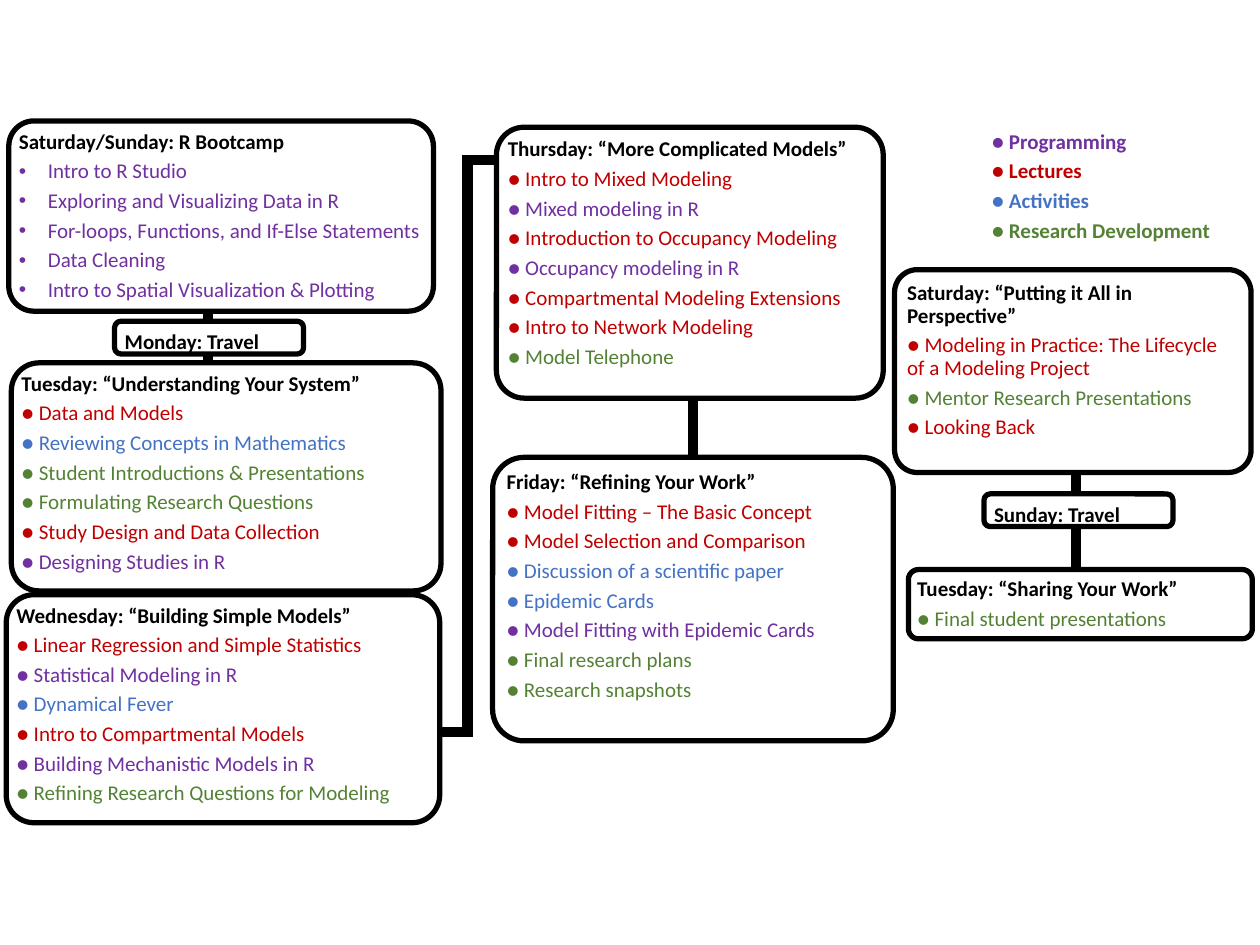
from lxml import etree
from pptx import Presentation
from pptx import util as u
from pptx.dml.color import RGBColor
from pptx.enum import shapes, text
from pptx.oxml.ns import qn

COLORS = {
    "black": "000000",
    "white": "FFFFFF",
    "programming": "7030A0",
    "lecture": "C00000",
    "activity": "4472C4",
    "research": "548235",
}

deck = Presentation()
deck.slide_width, deck.slide_height = u.Inches(10), u.Inches(7.5)
slide = deck.slides.add_slide(deck.slide_layouts[6])

# The grid has 10 columns and 7.5 rows
COL = deck.slide_width / 10
ROW = deck.slide_height / 7.5
CORNER_INSET = 0.29  # share of the corner radius that a rounded box adds to its insets


def write(frame, line, first=False, color="black", bold=False, bullet=False):
    paragraph = frame.paragraphs[0] if first else frame.add_paragraph()
    paragraph.line_spacing = 0.9
    paragraph.space_after = u.Pt(4)
    if bullet:
        props = paragraph._p.get_or_add_pPr()
        props.set("marL", str(u.Inches(0.23)))
        props.set("indent", str(-u.Inches(0.23)))
        etree.SubElement(props, qn("a:buFont")).set("typeface", "Arial")
        etree.SubElement(props, qn("a:buChar")).set("char", "•")
    run = paragraph.add_run()
    run.text = line
    run.font.name = "Calibri"
    run.font.size = u.Pt(12)
    run.font.bold = bold
    run.font.color.rgb = RGBColor.from_string(COLORS[color])


def set_frame(frame, inset):
    frame.word_wrap = True
    frame.vertical_anchor = text.MSO_ANCHOR.TOP
    frame.margin_left = frame.margin_right = int(inset * COL)
    frame.margin_top = frame.margin_bottom = int(inset * ROW)


# Links between the days: start column, start row, end column, end row
links = [
    (1.65, 2.2, 1.65, 3.28),   # bootcamp, Monday, Tuesday
    (1.68, 4.05, 1.68, 5.8),   # Tuesday to Wednesday
    (2.15, 5.81, 3.75, 5.81),  # Wednesday, up and over to Thursday
    (3.71, 5.81, 3.71, 1.27),
    (3.67, 1.27, 4.23, 1.27),
    (5.5, 2.55, 5.5, 4.56),    # Thursday to Friday
    (8.54, 3.6, 8.54, 4.6),    # Saturday, Sunday, last Tuesday
]
for x1, y1, x2, y2 in links:
    link = slide.shapes.add_connector(
        shapes.MSO_CONNECTOR.STRAIGHT,
        int(x1 * COL), int(y1 * ROW), int(x2 * COL), int(y2 * ROW))
    link.line.width = u.Pt(6)
    link.line.color.rgb = RGBColor.from_string(COLORS["black"])
    etree.SubElement(link._element.spPr, qn("a:effectLst"))

# Days: place (column, row, width, height), corner radius, inset, heading, topics
days = [
    ((0.09, 2.88, 3.41, 1.81), 0.22, 0.08, "Tuesday: “Understanding Your System”", [
        ("lecture", "Data and Models"),
        ("activity", "Reviewing Concepts in Mathematics"),
        ("research", "Student Introductions & Presentations"),
        ("research", "Formulating Research Questions"),
        ("lecture", "Study Design and Data Collection"),
        ("programming", "Designing Studies in R")]),
    ((3.91, 3.63, 3.18, 2.25), 0.25, 0.11, "Friday: “Refining Your Work”", [
        ("lecture", "Model Fitting – The Basic Concept"),
        ("lecture", "Model Selection and Comparison"),
        ("activity", "Discussion of a scientific paper"),
        ("activity", "Epidemic Cards"),
        ("programming", "Model Fitting with Epidemic Cards"),
        ("research", "Final research plans"),
        ("research", "Research snapshots")]),
    ((7.1, 2.14, 2.83, 1.61), 0.18, 0.1, "Saturday: “Putting it All in Perspective”", [
        ("lecture", "Modeling in Practice: The Lifecycle of a Modeling Project"),
        ("research", "Mentor Research Presentations"),
        ("lecture", "Looking Back")]),
    ((7.21, 4.52, 2.73, 0.55), 0.08, 0.07, "Tuesday: “Sharing Your Work”", [
        ("research", "Final student presentations")]),
    ((0.07, 0.96, 3.37, 1.51), 0.2, 0.08, "Saturday/Sunday: R Bootcamp", [
        ("programming", "Intro to R Studio"),
        ("programming", "Exploring and Visualizing Data in R"),
        ("programming", "For-loops, Functions, and If-Else Statements"),
        ("programming", "Data Cleaning"),
        ("programming", "Intro to Spatial Visualization & Plotting")]),
    ((0.91, 2.55, 1.5, 0.26), 0.05, 0.08, "Monday: Travel", []),
    ((0.05, 4.72, 3.44, 1.81), 0.22, 0.08, "Wednesday: “Building Simple Models”", [
        ("lecture", "Linear Regression and Simple Statistics"),
        ("programming", "Statistical Modeling in R"),
        ("activity", "Dynamical Fever"),
        ("lecture", "Intro to Compartmental Models"),
        ("programming", "Building Mechanistic Models in R"),
        ("research", "Refining Research Questions for Modeling")]),
    ((3.94, 1.01, 3.07, 2.15), 0.22, 0.09, "Thursday: “More Complicated Models”", [
        ("lecture", "Intro to Mixed Modeling"),
        ("programming", "Mixed modeling in R"),
        ("lecture", "Introduction to Occupancy Modeling"),
        ("programming", "Occupancy modeling in R"),
        ("lecture", "Compartmental Modeling Extensions"),
        ("lecture", "Intro to Network Modeling"),
        ("research", "Model Telephone")]),
    ((7.81, 3.92, 1.5, 0.26), 0.05, 0.08, "Sunday: Travel", []),
]
for (x, y, width, height), radius, inset, heading, topics in days:
    day = slide.shapes.add_shape(
        shapes.MSO_SHAPE.ROUNDED_RECTANGLE,
        int(x * COL), int(y * ROW), int(width * COL), int(height * ROW))
    day.adjustments[0] = radius / min(width, height)
    day.shadow.inherit = False
    day.fill.solid()
    day.fill.fore_color.rgb = RGBColor.from_string(COLORS["white"])
    day.line.color.rgb = RGBColor.from_string(COLORS["black"])
    day.line.width = u.Pt(3)
    set_frame(day.text_frame, inset - CORNER_INSET * radius)
    write(day.text_frame, heading, first=True, bold=True)
    listed = "Bootcamp" in heading
    for kind, topic in topics:
        write(day.text_frame, topic if listed else f"● {topic}", color=kind, bullet=listed)
    for paragraph in day.text_frame.paragraphs:
        paragraph.alignment = text.PP_ALIGN.LEFT

# Legend of the topic colours
legend = slide.shapes.add_textbox(
    int(7.79 * COL), int(0.96 * ROW), int(2.2 * COL), int(0.73 * ROW))
set_frame(legend.text_frame, 0.08)
kinds = [("programming", "Programming"), ("lecture", "Lectures"),
         ("activity", "Activities"), ("research", "Research Development")]
for i, (kind, label) in enumerate(kinds):
    write(legend.text_frame, f"● {label}", first=i == 0, color=kind, bold=True)

deck.save("out.pptx")
